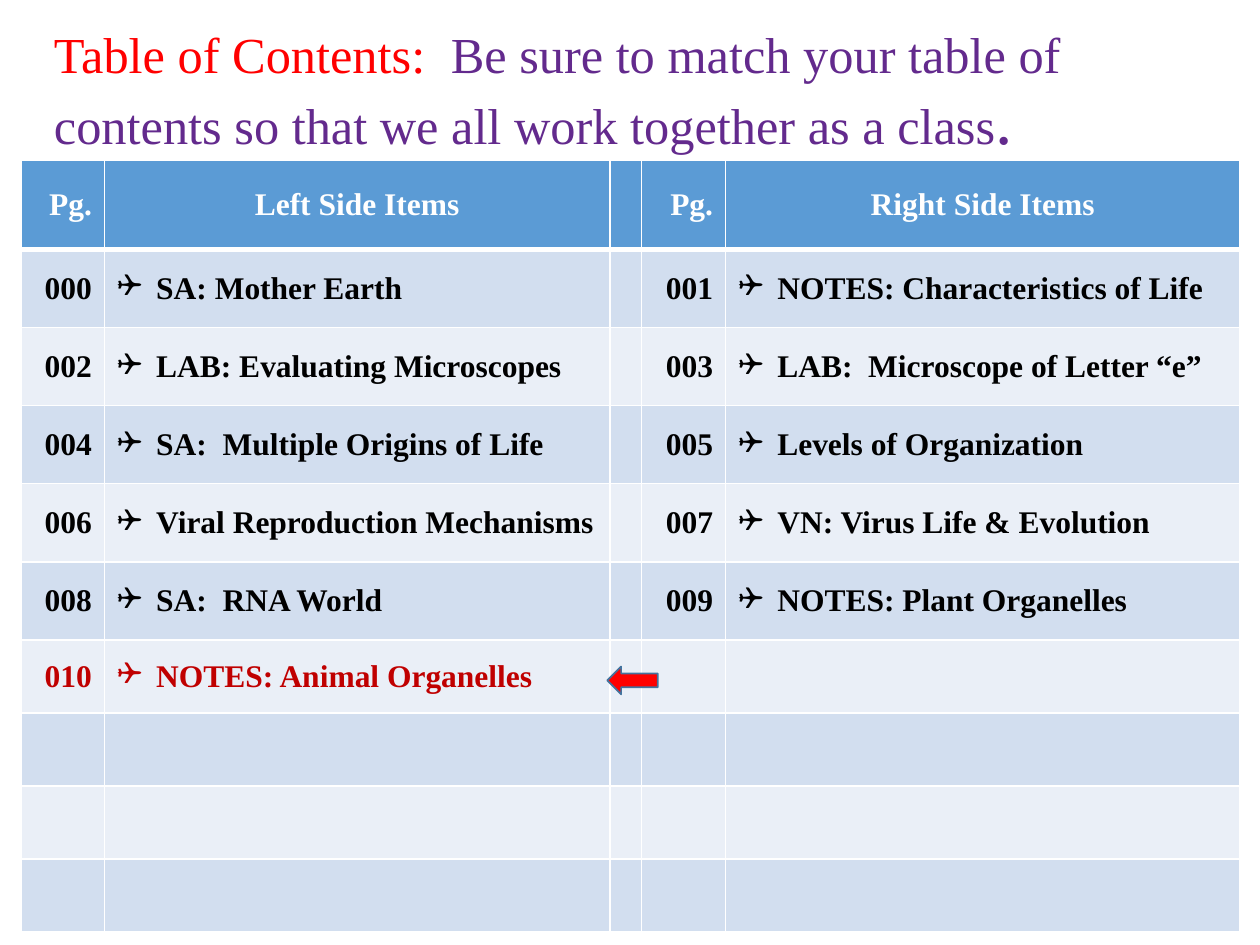
from lxml.etree import SubElement
from pptx import Presentation
from pptx.dml.color import RGBColor
from pptx.enum.shapes import MSO_SHAPE
from pptx.enum.text import MSO_ANCHOR, PP_ALIGN
from pptx.oxml.ns import qn
from pptx.util import Inches, Pt

FONT = "Times New Roman"
COLORS = {
    "red": "FF0000", "purple": "632A8D", "header": "5B9BD5",
    "band_dark": "D2DEEF", "band_light": "EAEFF7", "white": "FFFFFF",
    "black": "000000", "current": "C00000", "arrow_line": "43739E",
}
TITLE_RUNS = [
    ("Table of Contents:  ", 28.8, "red"),
    ("Be sure to match your table of contents so that we all work together as a class",
     28.8, "purple"),
    (".", 39.6, "purple"),
]
HEADERS = ["Pg.", "Left Side Items", "", "Pg.", "Right Side Items"]
ENTRIES = [
    ("SA: Mother Earth", "NOTES: Characteristics of Life"),
    ("LAB: Evaluating Microscopes", "LAB:  Microscope of Letter “e”"),
    ("SA:  Multiple Origins of Life", "Levels of Organization"),
    ("Viral Reproduction Mechanisms", "VN: Virus Life & Evolution"),
    ("SA:  RNA World", "NOTES: Plant Organelles"),
    ("NOTES: Animal Organelles", ""),
    ("", ""), ("", ""), ("", ""),
]
CURRENT_ROW = 6
PAGE_COLUMNS = (0, 3)
COLUMN_WIDTHS = [0.66, 4.01, 0.25, 0.67, 4.08]
ROW_HEIGHTS = [0.71] + [0.62] * 5 + [0.58] * 4


def color(name):
    """Return the palette color with this name."""
    return RGBColor.from_string(COLORS[name])


def style_run(run, size, color_name, bold=False):
    """Set the font of a run."""
    run.font.name = FONT
    run.font.size = Pt(size)
    run.font.bold = bold
    run.font.color.rgb = color(color_name)


def add_title(slide):
    """Add the heading with its differently colored runs."""
    box = slide.shapes.add_textbox(Inches(0.33), Inches(0.25), Inches(9.39), Inches(1))
    frame = box.text_frame
    frame.word_wrap = True
    frame.vertical_anchor = MSO_ANCHOR.MIDDLE
    paragraph = frame.paragraphs[0]
    paragraph.line_spacing = 0.9
    for text, size, color_name in TITLE_RUNS:
        run = paragraph.add_run()
        run.text = text
        style_run(run, size, color_name)


def add_borders(cell, top, bottom):
    """Draw white cell borders, placed ahead of the fill."""
    properties = cell._tc.get_or_add_tcPr()
    widths = [("lnL", 1), ("lnR", 1), ("lnT", top), ("lnB", bottom)]
    for position, (side, width) in enumerate(widths):
        line = SubElement(properties, qn(f"a:{side}"), w=str(Pt(width)))
        fill = SubElement(line, qn("a:solidFill"))
        SubElement(fill, qn("a:srgbClr"), val=COLORS["white"])
        properties.insert(position, line)


def add_checkbox(paragraph):
    """Give a paragraph a hanging checkbox bullet."""
    properties = paragraph._p.get_or_add_pPr()
    properties.set("marL", str(Inches(0.31)))
    properties.set("indent", str(-Inches(0.31)))
    SubElement(properties, qn("a:buFont"), typeface="Wingdings")
    SubElement(properties, qn("a:buChar"), char="❑")


def table_rows():
    """Return all rows, numbering the pages of the filled entries."""
    rows = [HEADERS]
    for index, (left, right) in enumerate(ENTRIES):
        left_page = f"{2 * index:03}" if left else ""
        right_page = f"{2 * index + 1:03}" if right else ""
        rows.append([left_page, left, "", right_page, right])
    return rows


def fill_cell(cell, text, row, column):
    """Fill, border and format one table cell."""
    band = "header" if row == 0 else "band_dark" if row % 2 else "band_light"
    cell.fill.solid()
    cell.fill.fore_color.rgb = color(band)
    add_borders(cell, 3 if row == 1 else 1, 3 if row == 0 else 1)
    cell.vertical_anchor = MSO_ANCHOR.MIDDLE
    paragraph = cell.text_frame.paragraphs[0]
    paragraph.font.size = Pt(18)
    if not text:
        return
    paragraph.text = text
    text_color = "white" if row == 0 else "current" if row == CURRENT_ROW else "black"
    style_run(paragraph.runs[0], 18, text_color, bold=True)
    if column in PAGE_COLUMNS:
        paragraph.alignment = PP_ALIGN.RIGHT
    elif row == 0:
        paragraph.alignment = PP_ALIGN.CENTER
    else:
        add_checkbox(paragraph)


def add_contents_table(slide):
    """Add the table of contents."""
    table = slide.shapes.add_table(
        len(ROW_HEIGHTS), len(COLUMN_WIDTHS), Inches(0.17), Inches(1.27),
        Inches(sum(COLUMN_WIDTHS)), Inches(sum(ROW_HEIGHTS))).table
    for column, width in zip(table.columns, COLUMN_WIDTHS):
        column.width = Inches(width)
    for row, height in zip(table.rows, ROW_HEIGHTS):
        row.height = Inches(height)
    for row, texts in enumerate(table_rows()):
        for column, text in enumerate(texts):
            fill_cell(table.cell(row, column), text, row, column)


def add_current_arrow(slide):
    """Add the arrow that points at the current entry."""
    arrow = slide.shapes.add_shape(
        MSO_SHAPE.LEFT_ARROW, Inches(4.82), Inches(5.29), Inches(0.4), Inches(0.22))
    arrow.shadow.inherit = False
    arrow.fill.solid()
    arrow.fill.fore_color.rgb = color("red")
    arrow.line.color.rgb = color("arrow_line")
    arrow.line.width = Pt(1)


presentation = Presentation()
presentation.slide_width = Inches(10)
presentation.slide_height = Inches(7.5)
slide = presentation.slides.add_slide(presentation.slide_layouts[6])
add_title(slide)
add_contents_table(slide)
add_current_arrow(slide)
presentation.save("out.pptx")
